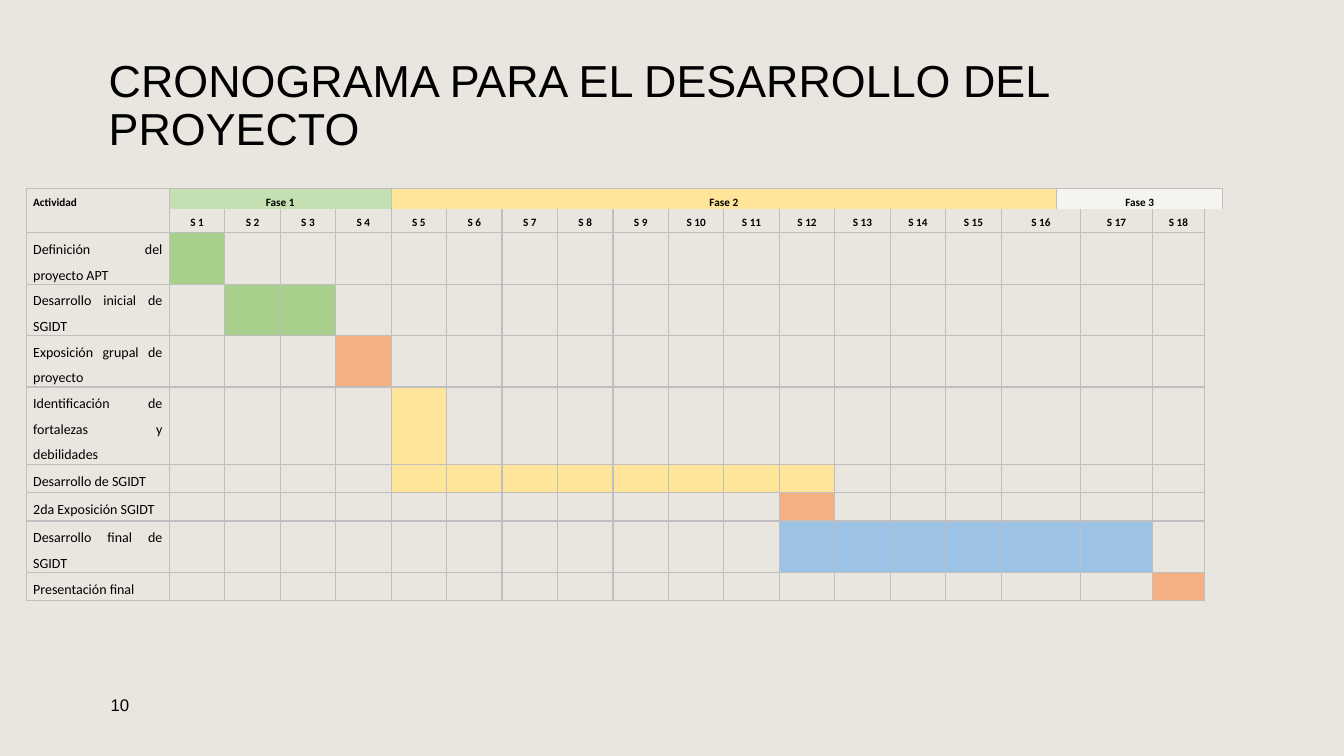
from dataclasses import dataclass
from typing import Optional

from lxml import etree
from pptx import Presentation
from pptx.dml.color import RGBColor
from pptx.enum.text import MSO_ANCHOR, PP_ALIGN
from pptx.oxml.ns import qn
from pptx.util import Emu, Inches, Pt

LEFT, CENTER, JUSTIFY = PP_ALIGN.LEFT, PP_ALIGN.CENTER, PP_ALIGN.JUSTIFY
TOP, MIDDLE = MSO_ANCHOR.TOP, MSO_ANCHOR.MIDDLE


@dataclass(frozen=True)
class Theme:
    background: str = "E9E6DF"
    text: str = "000000"
    grid: str = "BFBFBF"
    phase_green: str = "C4E0B2"
    phase_pale: str = "F6F4F1"
    green: str = "A8D08C"
    yellow: str = "FEE599"
    orange: str = "F4B081"
    blue: str = "9CC2E5"
    heading_font: str = "Arial"
    table_font: str = "Calibri"
    title_size: int = 32
    number_size: int = 12
    activity_size: int = 10
    header_size: int = 8


@dataclass(frozen=True)
class TextBox:
    text: str
    box: tuple[float, float, float, float]  # percent of slide width and height
    size: int
    spacing: float = 1.0
    bottom: float = 0.05


@dataclass(frozen=True)
class Phase:
    name: str
    first: int  # grid columns
    last: int
    color: str
    sides: str = "LRTB"


@dataclass(frozen=True)
class Activity:
    name: str
    first: int  # weeks
    last: int
    color: str
    height: float


T = Theme()
WIDTH, HEIGHT = Inches(13.33), Inches(7.5)

TEXTS = [
    TextBox("CRONOGRAMA PARA EL DESARROLLO DEL PROYECTO",
            (7.35, 6.27, 78.17, 21.87), T.title_size, 0.9, 0.51),
    TextBox("10", (7.5, 91.07, 5.18, 4.27), T.number_size),
]
PHASES = [
    Phase("Fase 1", 1, 4, T.phase_green),
    Phase("Fase 2", 5, 16, T.yellow),
    Phase("Fase 3", 17, 20, T.phase_pale, "LRT"),
]
ONE_LINE, TWO_LINES, THREE_LINES = 0.28, 0.51, 0.77
ACTIVITIES = [
    Activity("Definición del proyecto APT", 1, 1, T.green, TWO_LINES),
    Activity("Desarrollo inicial de SGIDT", 2, 3, T.green, TWO_LINES),
    Activity("Exposición grupal de proyecto", 4, 4, T.orange, TWO_LINES),
    Activity("Identificación de fortalezas y debilidades", 5, 5, T.yellow, THREE_LINES),
    Activity("Desarrollo de SGIDT", 5, 12, T.yellow, ONE_LINE),
    Activity("2da Exposición SGIDT", 12, 12, T.orange, ONE_LINE),
    Activity("Desarrollo final de SGIDT", 12, 17, T.blue, TWO_LINES),
    Activity("Presentación final", 18, 18, T.orange, ONE_LINE),
]
# Week 16 takes two grid columns; the last column only widens phase 3
WEEKS, SPLIT_WEEK = 18, 16
COLUMNS = [1.42] + [0.55] * 16 + [0.24, 0.71, 0.52, 0.1]
ROWS = [0.2, 0.24] + [a.height for a in ACTIVITIES]
EDGE = len(COLUMNS) - 1


def week_column(week: int) -> int:
    return week + (week > SPLIT_WEEK)


def add_run(p, text: str, font: str, size: int, bold: bool = False) -> None:
    r = p.add_run()
    r.text = text
    r.font.name, r.font.size, r.font.bold = font, Pt(size), bold
    r.font.color.rgb = RGBColor.from_string(T.text)


def draw_text(s, item: TextBox) -> None:
    x, y, w, h = item.box
    sp = s.shapes.add_textbox(Emu(int(WIDTH * x / 100)), Emu(int(HEIGHT * y / 100)),
                              Emu(int(WIDTH * w / 100)), Emu(int(HEIGHT * h / 100)))
    tf = sp.text_frame
    tf.word_wrap = True
    tf.vertical_anchor = MIDDLE
    tf.margin_bottom = Inches(item.bottom)
    p = tf.paragraphs[0]
    p.alignment, p.line_spacing = LEFT, item.spacing
    add_run(p, item.text, T.heading_font, item.size)


def set_borders(cell, sides: str) -> None:
    tc_pr = cell._tc.get_or_add_tcPr()
    for i, side in enumerate("LRTB"):
        ln = etree.Element(qn(f"a:ln{side}"), w=str(Pt(1)))
        if side in sides:
            fill = etree.SubElement(ln, qn("a:solidFill"))
            etree.SubElement(fill, qn("a:srgbClr"), val=T.grid)
        else:
            etree.SubElement(ln, qn("a:noFill"))
        tc_pr.insert(i, ln)


def style_cell(cell, color: Optional[str] = None, sides: str = "LRTB") -> None:
    cell.margin_left = cell.margin_right = Inches(0.07)
    cell.margin_top = cell.margin_bottom = 0
    cell.vertical_anchor = TOP
    if color:
        cell.fill.solid()
        cell.fill.fore_color.rgb = RGBColor.from_string(color)
    else:
        cell.fill.background()
    set_borders(cell, sides)
    # Small type keeps empty cells from stretching their row
    p = cell.text_frame.paragraphs[0]
    etree.SubElement(p._p, qn("a:endParaRPr"), sz=str(T.header_size * 100))


def write_cell(cell, text: str, align, size: int, bold: bool) -> None:
    p = cell.text_frame.paragraphs[0]
    p.alignment, p.line_spacing = align, 1.5
    add_run(p, text, T.table_font, size, bold)


def draw_schedule(s) -> None:
    frame = s.shapes.add_table(len(ROWS), len(COLUMNS), Inches(0.26), Inches(1.87),
                               Inches(sum(COLUMNS)), Inches(sum(ROWS)))
    tbl = frame.table
    tbl.first_row = tbl.horz_banding = False
    for column, width in zip(tbl.columns, COLUMNS):
        column.width = Inches(width)
    for row, height in zip(tbl.rows, ROWS):
        row.height = Inches(height)

    # Header: activity label, phases and weeks
    for row in (0, 1):
        style_cell(tbl.cell(row, 0))
    for phase in PHASES:
        for col in range(phase.first, phase.last + 1):
            style_cell(tbl.cell(0, col), phase.color, phase.sides)
        tbl.cell(0, phase.first).merge(tbl.cell(0, phase.last))
        write_cell(tbl.cell(0, phase.first), phase.name, CENTER, T.header_size, True)
    tbl.cell(0, 0).merge(tbl.cell(1, 0))
    write_cell(tbl.cell(0, 0), "Actividad", JUSTIFY, T.header_size, True)
    for col in range(1, EDGE):
        style_cell(tbl.cell(1, col), None, "LRB")
    for week in range(1, WEEKS + 1):
        write_cell(tbl.cell(1, week_column(week)), f"S {week}", CENTER, T.header_size, True)

    # Activities: a coloured bar over the weeks of each one
    for row, activity in enumerate(ACTIVITIES, start=2):
        bar = range(week_column(activity.first), week_column(activity.last) + 1)
        for col in range(EDGE):
            style_cell(tbl.cell(row, col), activity.color if col in bar else None)
        write_cell(tbl.cell(row, 0), activity.name, JUSTIFY, T.activity_size, False)

    # Split week and open right edge
    for row in range(1, len(ROWS)):
        tbl.cell(row, SPLIT_WEEK).merge(tbl.cell(row, SPLIT_WEEK + 1))
        style_cell(tbl.cell(row, EDGE), None, "L")


def main() -> None:
    prs = Presentation()
    prs.slide_width, prs.slide_height = WIDTH, HEIGHT
    s = prs.slides.add_slide(prs.slide_layouts[6])
    s.background.fill.solid()
    s.background.fill.fore_color.rgb = RGBColor.from_string(T.background)
    for item in TEXTS:
        draw_text(s, item)
    draw_schedule(s)
    prs.save("out.pptx")


if __name__ == "__main__":
    main()
